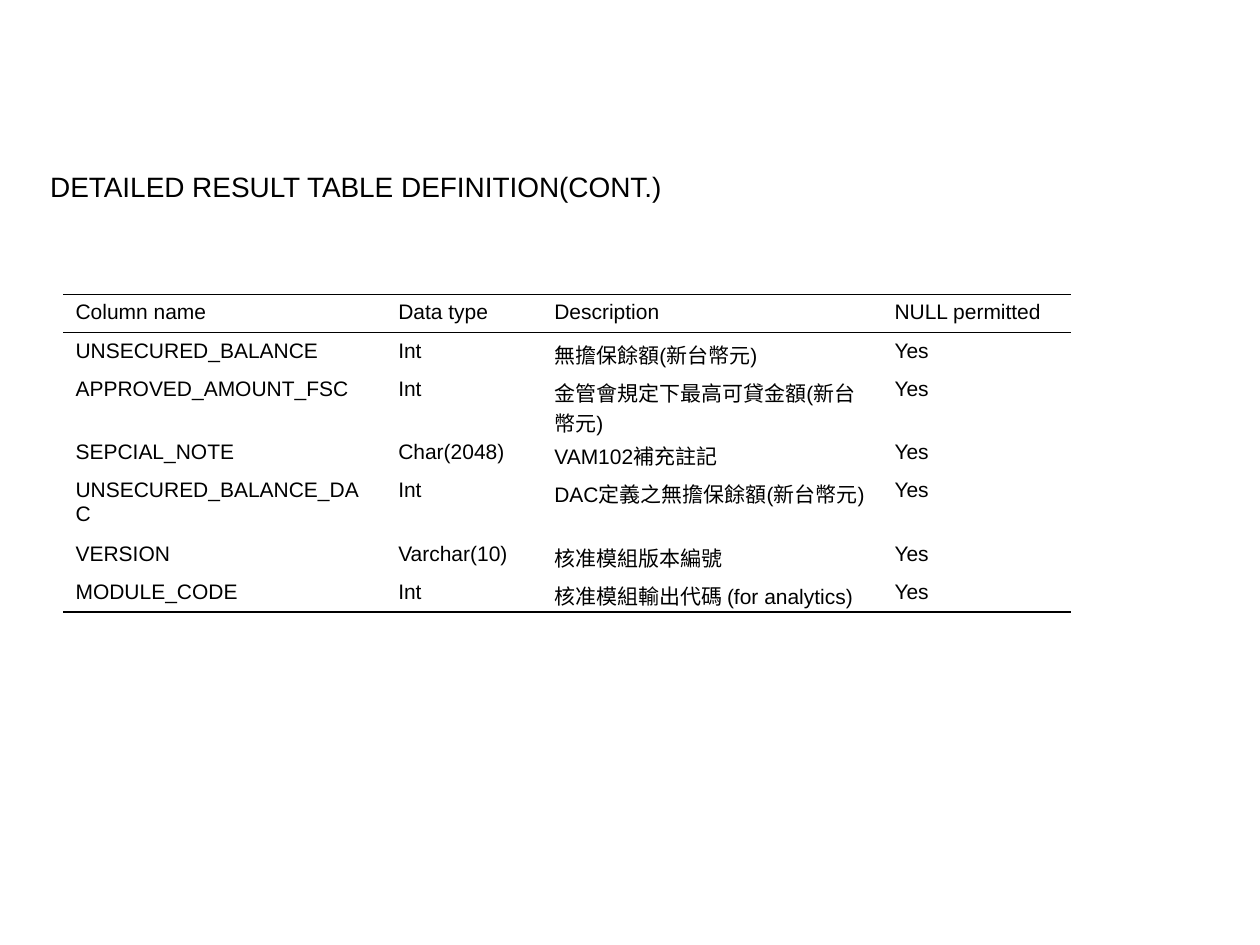
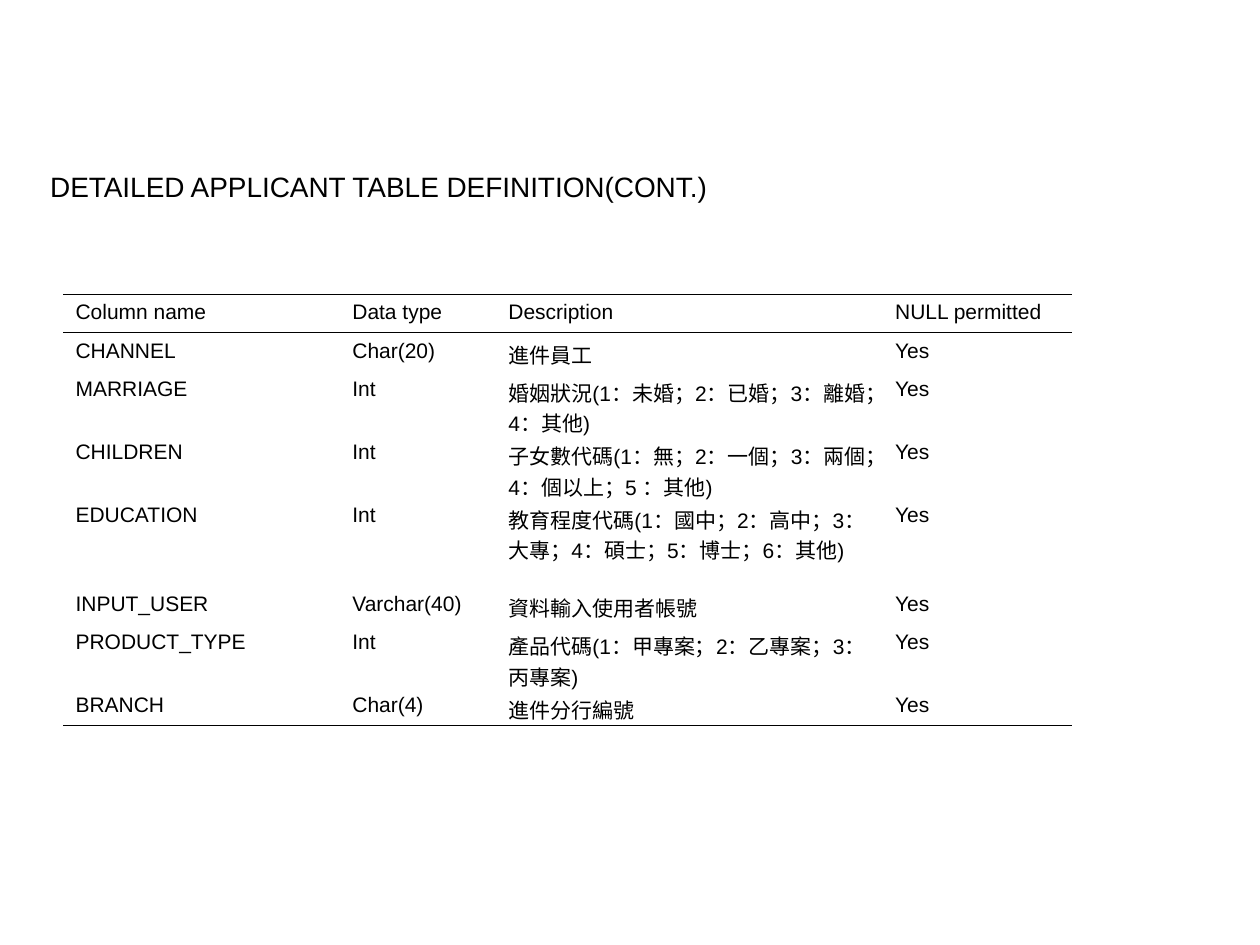
from dataclasses import dataclass

from lxml.etree import SubElement
from pptx import Presentation
from pptx.dml.color import RGBColor
from pptx.enum.text import MSO_AUTO_SIZE as AutoSize
from pptx.oxml.ns import qn
from pptx.slide import Slide
from pptx.table import _Cell as Cell
from pptx.text.text import TextFrame
from pptx.util import Pt

COLORS = {"text": "000000", "rule": "000000"}
FONT = "Arial"
TITLE_SIZE, CELL_SIZE = 16, 12
OUTER_RULE, HEADER_RULE = 0.75, 0.45
FIRST_LINE, EXTRA_LINE = 21.8, 14.4
HEADINGS = ("Column name", "Data type", "Description", "NULL permitted")


@dataclass(frozen=True)
class Field:
    name: str
    data_type: str
    description: str
    lines: int = 1
    nullable: str = "Yes"

    def texts(self) -> tuple[str, ...]:
        return self.name, self.data_type, self.description, self.nullable


@dataclass(frozen=True)
class Definition:
    title: str
    widths: tuple[float, ...]
    fields: tuple[Field, ...]


DEFINITIONS = (
    Definition(
        "DETAILED RESULT TABLE DEFINITION(CONT.)",
        (184.4, 89.2, 194.4, 108),
        (
            Field("UNSECURED_BALANCE", "Int", "無擔保餘額(新台幣元)"),
            Field("APPROVED_AMOUNT_FSC", "Int", "金管會規定下最高可貸金額(新台幣元)", 2),
            Field("SEPCIAL_NOTE", "Char(2048)", "VAM102補充註記"),
            Field("UNSECURED_BALANCE_DAC", "Int", "DAC定義之無擔保餘額(新台幣元)", 2),
            Field("VERSION", "Varchar(10)", "核准模組版本編號"),
            Field("MODULE_CODE", "Int", "核准模組輸出代碼 (for analytics)"),
        ),
    ),
    Definition(
        "DETAILED APPLICANT TABLE DEFINITION(CONT.)",
        (158.2, 89.2, 221, 108),
        (
            Field("CHANNEL", "Char(20)", "進件員工"),
            Field("MARRIAGE", "Int", "婚姻狀況(1：未婚；2：已婚；3：離婚；4：其他)", 2),
            Field("CHILDREN", "Int", "子女數代碼(1：無；2：一個；3：兩個；4：個以上；5 ：其他)", 2),
            Field("EDUCATION", "Int",
                  "教育程度代碼(1：國中；2：高中；3：大專；4：碩士；5：博士；6：其他)", 3),
            Field("INPUT_USER", "Varchar(40)", "資料輸入使用者帳號"),
            Field("PRODUCT_TYPE", "Int", "產品代碼(1：甲專案；2：乙專案；3：丙專案)", 2),
            Field("BRANCH", "Char(4)", "進件分行編號"),
        ),
    ),
)


def write(frame: TextFrame, text: str, *, size: float, color: str = "text") -> None:
    span = frame.paragraphs[0].add_run()
    span.text = text
    span.font.name = FONT
    span.font.size = Pt(size)
    span.font.color.rgb = RGBColor.from_string(COLORS[color])


def set_borders(cell: Cell, top: float, bottom: float) -> None:
    """Rule the top and bottom of a cell; a width of 0 leaves a side bare."""
    properties = cell._tc.get_or_add_tcPr()
    for side, width in (("L", 0), ("R", 0), ("T", top), ("B", bottom)):
        line = SubElement(properties, qn(f"a:ln{side}"), w=str(Pt(width)))
        if width:
            fill = SubElement(line, qn("a:solidFill"))
            SubElement(fill, qn("a:srgbClr"), val=COLORS["rule"])
        else:
            SubElement(line, qn("a:noFill"))


def add_title(page: Slide, text: str) -> None:
    box = page.shapes.add_textbox(Pt(21.6), Pt(93.6), Pt(668.9), Pt(26.6))
    box.text_frame.word_wrap = True
    box.text_frame.auto_size = AutoSize.SHAPE_TO_FIT_TEXT
    write(box.text_frame, text, size=TITLE_SIZE)


def add_definition_table(page: Slide, definition: Definition) -> None:
    rows = [HEADINGS, *(field.texts() for field in definition.fields)]
    line_counts = [1, *(field.lines for field in definition.fields)]
    heights = [FIRST_LINE + EXTRA_LINE * (count - 1) for count in line_counts]
    table = page.shapes.add_table(
        len(rows), len(HEADINGS), Pt(36), Pt(168.3),
        Pt(sum(definition.widths)), Pt(sum(heights)),
    ).table
    table.first_row = table.horz_banding = False
    for column, width in zip(table.columns, definition.widths):
        column.width = Pt(width)
    rules = [OUTER_RULE, HEADER_RULE, *[0] * (len(rows) - 2), OUTER_RULE]
    for index, (texts, height) in enumerate(zip(rows, heights)):
        table.rows[index].height = Pt(height)
        for cell, text in zip(table.rows[index].cells, texts):
            set_borders(cell, rules[index], rules[index + 1])
            cell.fill.background()
            write(cell.text_frame, text, size=CELL_SIZE)


def main() -> None:
    deck = Presentation()
    deck.slide_width, deck.slide_height = Pt(720), Pt(540)
    for definition in DEFINITIONS:
        page = deck.slides.add_slide(deck.slide_layouts[6])
        add_title(page, definition.title)
        add_definition_table(page, definition)
    deck.save("out.pptx")


if __name__ == "__main__":
    main()
